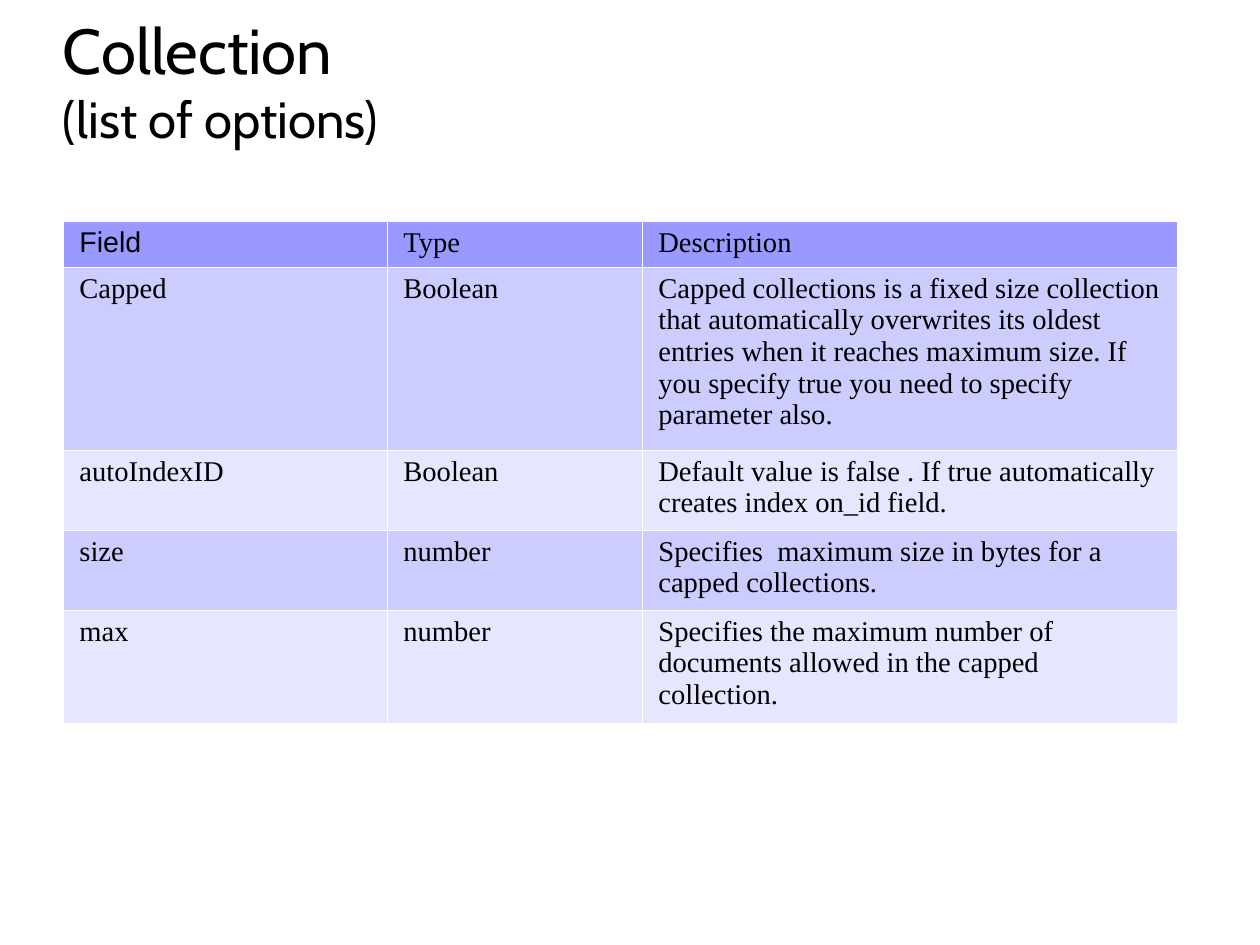
"""Build the slide that lists the options of a collection."""
from lxml.etree import SubElement
from pptx import Presentation
from pptx.dml.color import RGBColor
from pptx.enum.text import MSO_ANCHOR, MSO_AUTO_SIZE, PP_ALIGN
from pptx.oxml.ns import qn
from pptx.util import Pt

EMU_PER_PX = 8000
BLACK = RGBColor(0x00, 0x00, 0x00)
WHITE = RGBColor(0xFF, 0xFF, 0xFF)
HEADER = RGBColor(0x99, 0x99, 0xFF)
BANDS = [RGBColor(0xCC, 0xCC, 0xFF), RGBColor(0xE6, 0xE6, 0xFF)]

COLUMN_WIDTHS = [324, 255, 535]
ROW_HEIGHTS = [46, 183, 80, 80, 113]
OPTIONS = [
    ("Field", "Type", "Description"),
    ("Capped", "Boolean",
     "Capped collections is a fixed size collection that automatically "
     "overwrites its oldest entries when it reaches maximum size. If you "
     "specify true you need to specify parameter also."),
    ("autoIndexID", "Boolean",
     "Default value is false . If true automatically creates index on_id field."),
    ("size", "number",
     "Specifies  maximum size in bytes for a capped collections."),
    ("max", "number",
     "Specifies the maximum number of documents allowed in the capped collection."),
]


def px(length):
    return length * EMU_PER_PX


def add_text(paragraph, text, font="Times New Roman", size=18, color=BLACK):
    run = paragraph.add_run()
    run.text = text
    run.font.name = font
    run.font.size = Pt(size)
    run.font.color.rgb = color


def set_title(slide, title, subtitle):
    shape = slide.shapes.title
    shape.left, shape.top, shape.width, shape.height = map(px, (63, 1, 1134, 158))
    frame = shape.text_frame
    frame.margin_left = frame.margin_right = 0
    frame.margin_top = frame.margin_bottom = 0
    frame.vertical_anchor = MSO_ANCHOR.MIDDLE
    frame.auto_size = MSO_AUTO_SIZE.NONE
    paragraph = frame.paragraphs[0]
    paragraph.alignment = PP_ALIGN.LEFT
    add_text(paragraph, title, font="Cabin", size=40)
    paragraph.add_line_break()
    add_text(paragraph, subtitle, font="Cabin", size=32)


def set_borders(cell, color, width):
    properties = cell._tc.get_or_add_tcPr()
    for side in ("a:lnL", "a:lnR", "a:lnT", "a:lnB"):
        line = SubElement(properties, qn(side), w=str(Pt(width)))
        fill = SubElement(line, qn("a:solidFill"))
        SubElement(fill, qn("a:srgbClr"), val=str(color))


def fill_cell(cell, text, color, font):
    set_borders(cell, WHITE, 0.06)
    cell.fill.solid()
    cell.fill.fore_color.rgb = color
    paragraph = cell.text_frame.paragraphs[0]
    properties = paragraph._p.get_or_add_pPr()
    properties.set("marL", str(px(5)))
    properties.set("indent", "0")
    add_text(paragraph, text, font=font)


def add_options_table(slide, left, top):
    frame = slide.shapes.add_table(
        len(ROW_HEIGHTS), len(COLUMN_WIDTHS), px(left), px(top),
        px(sum(COLUMN_WIDTHS)), px(sum(ROW_HEIGHTS)))
    table = frame.table
    table.first_row = table.horz_banding = False
    for column, width in zip(table.columns, COLUMN_WIDTHS):
        column.width = px(width)
    for index, (row, height) in enumerate(zip(table.rows, ROW_HEIGHTS)):
        row.height = px(height)
        color = BANDS[(index - 1) % 2] if index else HEADER
        for cell, text in zip(row.cells, OPTIONS[index]):
            font = "Arial" if text == "Field" else "Times New Roman"
            fill_cell(cell, text, color, font)


def main():
    presentation = Presentation()
    presentation.slide_width = px(1260)
    presentation.slide_height = px(945)
    slide = presentation.slides.add_slide(presentation.slide_layouts[5])
    slide.background.fill.solid()
    slide.background.fill.fore_color.rgb = WHITE
    set_title(slide, "Collection", "(list of options)")
    add_options_table(slide, 63, 221)
    presentation.save("out.pptx")


if __name__ == "__main__":
    main()
